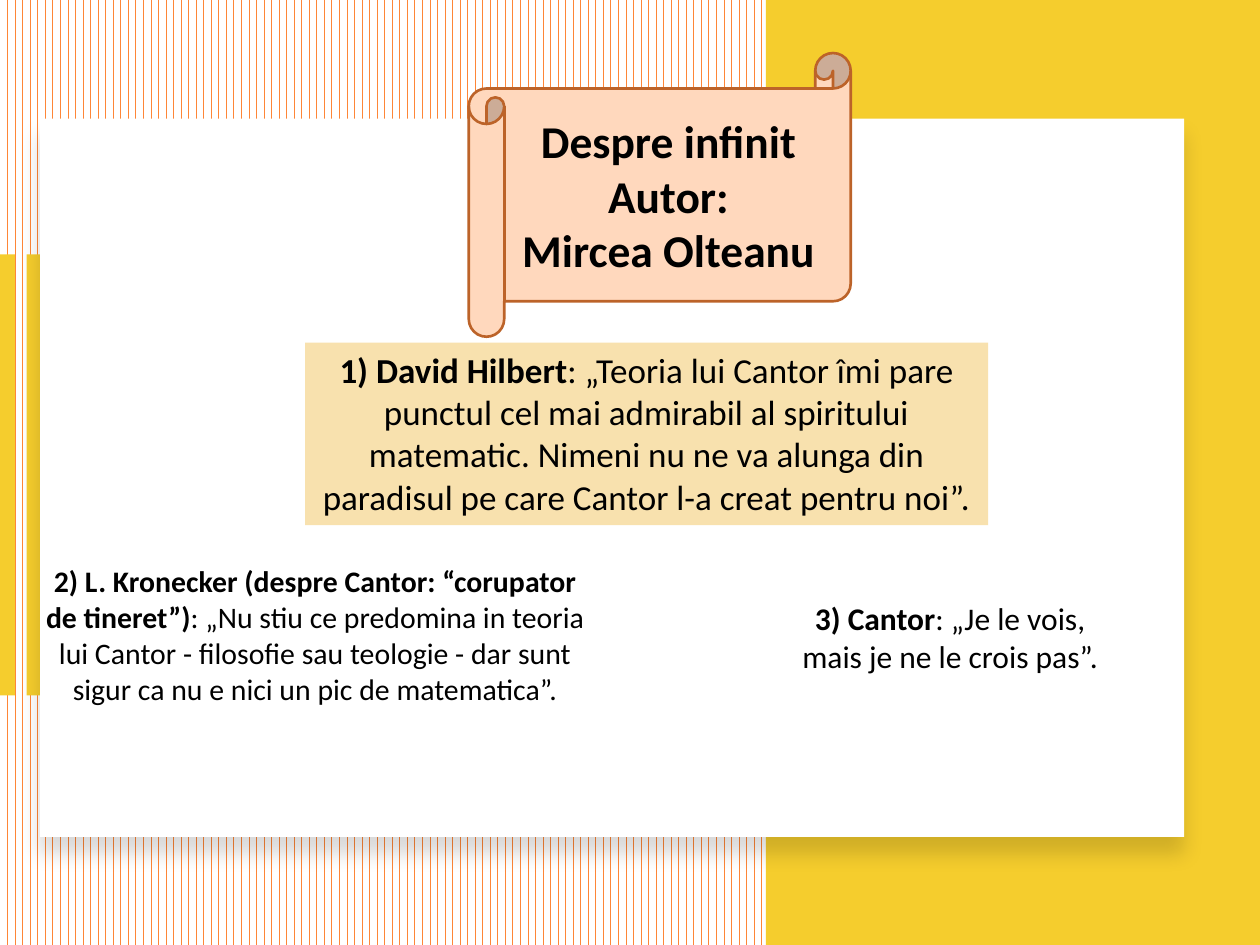
from lxml import etree
from pptx import Presentation
from pptx.dml.color import RGBColor
from pptx.enum.dml import MSO_PATTERN
from pptx.enum.shapes import MSO_SHAPE
from pptx.enum.text import MSO_ANCHOR, MSO_AUTO_SIZE, PP_ALIGN
from pptx.oxml.ns import qn
from pptx.util import Cm, Pt

RECTANGLE = MSO_SHAPE.RECTANGLE
SCROLL = MSO_SHAPE.HORIZONTAL_SCROLL
DASHES = MSO_PATTERN.DASHED_VERTICAL
TOP, MIDDLE = MSO_ANCHOR.TOP, MSO_ANCHOR.MIDDLE
CENTER = PP_ALIGN.CENTER
GROW = MSO_AUTO_SIZE.SHAPE_TO_FIT_TEXT

FONT = "Calibri"
BLACK, WHITE, YELLOW = "000000", "FFFFFF", "F5CD2D"
ORANGE, PEACH, BROWN, SAND = "FE8637", "FFD8BD", "BC6329", "F8E1AE"

SLIDE_SIZE = (25.4, 19.05)
BANDS = [
    (0.54, 5.13, 0.3, 8.89),
    (15.44, 0, 9.96, 19.05),
]
EDGE_BAND = (0, 5.13, 0.3, 8.89)
PANEL = (0.81, 2.39, 23.06, 14.48)
TITLE_BOX = (9.45, 1.07, 7.7, 5.72)
TITLE_LINES = ["Despre infinit", "Autor:", "Mircea Olteanu"]
QUOTES = [
    {
        "box": (6.15, 6.91, 13.77, 3.68),
        "size": 20,
        "fill": SAND,
        "author": "1) David Hilbert",
        "words": ": „Teoria lui Cantor îmi pare punctul cel mai admirabil al spiritului "
                 "matematic. Nimeni nu ne va alunga din paradisul pe care Cantor l-a creat "
                 "pentru noi”.",
    },
    {
        "box": (0.64, 11.23, 11.43, 3.18),
        "size": 17,
        "fill": None,
        "author": "2) L. Kronecker (despre Cantor: “corupator de tineret”)",
        "words": ": „Nu stiu ce predomina in teoria lui Cantor - filosofie sau teologie - "
                 "dar sunt sigur ca nu e nici un pic de matematica”.",
    },
    {
        "box": (15.88, 11.96, 6.55, 1.8),
        "size": 18,
        "fill": None,
        "author": "3) Cantor",
        "words": ": „Je le vois, mais je ne le crois pas”.",
    },
]


def color(value):
    return RGBColor.from_string(value)


def add_block(slide, kind, box, fill, line=None):
    shape = slide.shapes.add_shape(kind, *map(Cm, box))
    shape.shadow.inherit = False
    shape.fill.solid()
    shape.fill.fore_color.rgb = color(fill)
    if line:
        shape.line.color.rgb = color(line)
        shape.line.width = Pt(1.5)
    else:
        shape.line.fill.background()
    return shape


def add_shadow(shape):
    effects = shape._element.spPr.find(qn("a:effectLst"))
    shadow = etree.SubElement(
        effects, qn("a:outerShdw"), blurRad=str(Pt(11)), dist=str(Pt(10)),
        dir="5400000", algn="t", rotWithShape="0")
    shade = etree.SubElement(shadow, qn("a:srgbClr"), val=BLACK)
    etree.SubElement(shade, qn("a:alpha"), val="15000")


def write(shape, paragraphs, size, anchor):
    frame = shape.text_frame
    frame.word_wrap = True
    frame.vertical_anchor = anchor
    for index, runs in enumerate(paragraphs):
        paragraph = frame.add_paragraph() if index else frame.paragraphs[0]
        paragraph.alignment = CENTER
        for text, bold in runs:
            run = paragraph.add_run()
            run.text = text
            run.font.name = FONT
            run.font.size = Pt(size)
            run.font.bold = bold
            run.font.color.rgb = color(BLACK)


def add_quote(slide, quote):
    if quote["fill"]:
        shape = add_block(slide, RECTANGLE, quote["box"], quote["fill"])
    else:
        shape = slide.shapes.add_textbox(*map(Cm, quote["box"]))
    runs = [(quote["author"], True), (quote["words"], False)]
    write(shape, [runs], quote["size"], TOP)
    shape.text_frame.auto_size = GROW


def main():
    presentation = Presentation()
    presentation.slide_width, presentation.slide_height = map(Cm, SLIDE_SIZE)
    slide = presentation.slides.add_slide(presentation.slide_layouts[6])

    background = slide.background.fill
    background.patterned()
    background.pattern = DASHES
    background.fore_color.rgb = color(ORANGE)
    background.back_color.rgb = color(WHITE)

    for band in BANDS:
        add_block(slide, RECTANGLE, band, YELLOW)
    add_shadow(add_block(slide, RECTANGLE, PANEL, WHITE))
    add_block(slide, RECTANGLE, EDGE_BAND, YELLOW)

    title = add_block(slide, SCROLL, TITLE_BOX, PEACH, BROWN)
    write(title, [[(line, True)] for line in TITLE_LINES], 26, MIDDLE)
    for quote in QUOTES:
        add_quote(slide, quote)

    presentation.save("out.pptx")


if __name__ == "__main__":
    main()
